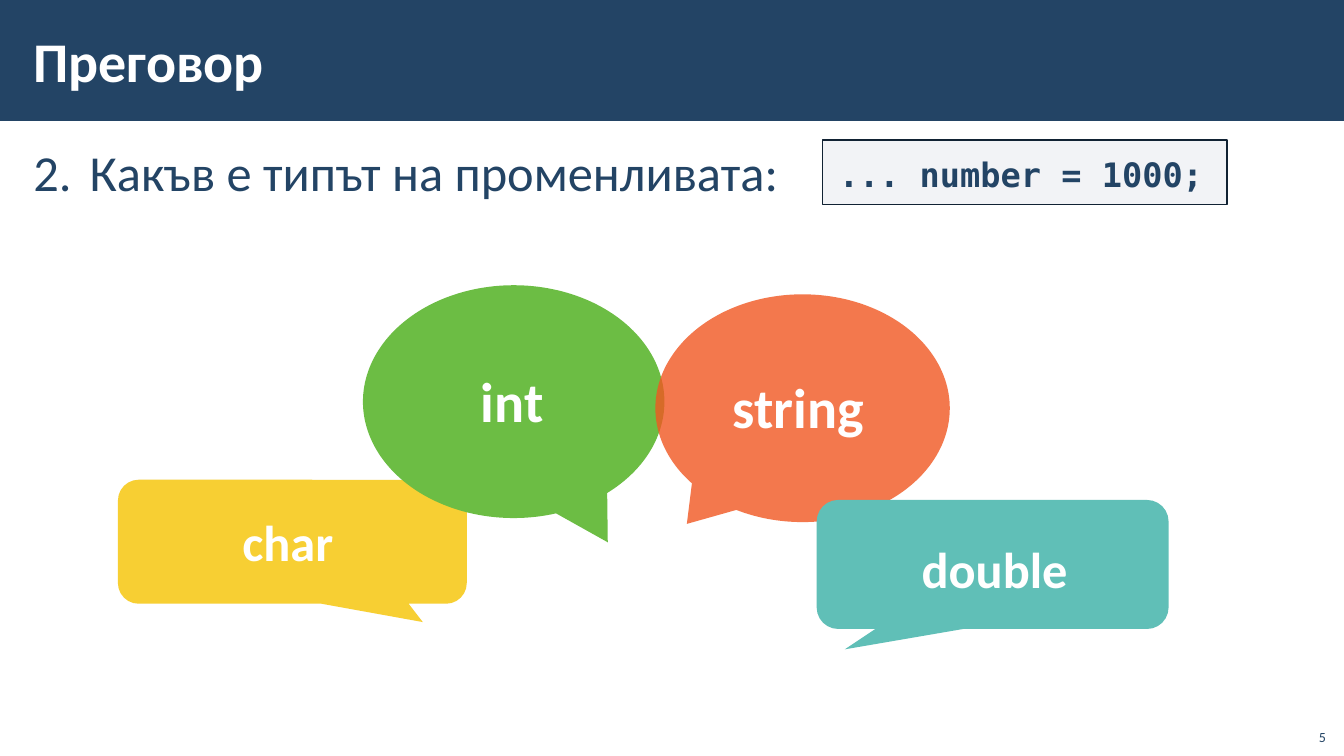
from lxml.etree import SubElement
from pptx import Presentation
from pptx.dml.color import RGBColor
from pptx.enum.shapes import MSO_SHAPE as Shape
from pptx.enum.text import MSO_ANCHOR as Anchor, PP_ALIGN as Align
from pptx.oxml.ns import qn
from pptx.util import Inches, Pt

NAVY = RGBColor(0x23, 0x44, 0x65)
WHITE = RGBColor(0xFF, 0xFF, 0xFF)
CODE_FILL = RGBColor(0xAD, 0xB4, 0xC3)
CODE_LINE = RGBColor(0x11, 0x22, 0x33)
YELLOW = RGBColor(0xF5, 0xC3, 0x00)
GREEN = RGBColor(0x6C, 0xBD, 0x44)
ORANGE = RGBColor(0xF1, 0x57, 0x21)
TEAL = RGBColor(0x60, 0xBF, 0xB7)

ROUNDED = Shape.ROUNDED_RECTANGULAR_CALLOUT
OVAL = Shape.OVAL_CALLOUT

# Insets: left, top, right, bottom
TEXT_INSETS = (0.12, 0.04, 0.12, 0.04)
LABEL_INSETS = (0.16, 0.12, 0.16, 0.12)
NUMBER_INSETS = (0.1, 0.05, 0.1, 0.05)

# Outline, box, pointer and corner, fill, opacity, word, word's box in the
# callout, and the format of the word
ANSWERS = [
    (ROUNDED, (1.17, 4.76, 3.46, 1.23), (0.374, 0.648, 0.167), YELLOW, 80,
     "char", (0.36, 0.13, 2.65, 0.87),
     dict(size=36, align=Align.CENTER, spacing=1.1)),
    (OVAL, (3.6, 2.83, 2.99, 2.31), (0.312, 0.604), GREEN, 100,
     "int", (0.51, 0.69, 1.87, 0.91),
     dict(size=40, insets=(0.66, 0.12, 0.16, 0.12))),
    (OVAL, (6.5, 2.92, 2.92, 2.26), (-0.393, 0.508), ORANGE, 80,
     "string", (0.61, 0.59, 1.7, 0.94), dict(size=40, spacing=1.1)),
    (ROUNDED, (8.1, 4.96, 3.49, 1.28), (-0.42, 0.658, 0.167), TEAL, 100,
     "double", (0.27, 0.2, 2.99, 0.87),
     dict(size=36, align=Align.CENTER, spacing=1.1)),
]


def inches(box):
    return [Inches(length) for length in box]


def write(shape, text, size, color=WHITE, bold=True, font="Calibri",
          align=Align.LEFT, anchor=Anchor.TOP, insets=LABEL_INSETS, spacing=1.0):
    """Fill a shape with one formatted paragraph and return the paragraph."""
    frame = shape.text_frame
    left, top, right, bottom = inches(insets)
    frame_format = dict(word_wrap=True, vertical_anchor=anchor, margin_left=left,
                        margin_top=top, margin_right=right, margin_bottom=bottom)
    paragraph = frame.paragraphs[0]
    run = paragraph.add_run()
    run.text = text
    run.font.color.rgb = color
    formats = [
        (frame, frame_format),
        (paragraph, dict(alignment=align, line_spacing=spacing)),
        (run.font, dict(name=font, size=Pt(size), bold=bold)),
    ]
    for target, values in formats:
        for name, value in values.items():
            setattr(target, name, value)
    return paragraph


def add_filled(shapes, outline, box, fill, opacity=100):
    """Add a preset shape with a plain fill and neither line nor shadow."""
    shape = shapes.add_shape(outline, *inches(box))
    shape.shadow.inherit = False
    shape.line.fill.background()
    shape.fill.solid()
    shape.fill.fore_color.rgb = fill
    if opacity < 100:
        color = shape.element.spPr.find(qn("a:solidFill"))[0]
        SubElement(color, qn("a:alpha"), val=str(opacity * 1000))
    return shape


def add_header(slide, box):
    left, top, width, height = box
    bar = add_filled(slide.shapes, Shape.RECTANGLE, box, NAVY)
    title = slide.shapes.title
    # The bar lies behind the title
    title.element.addprevious(bar.element)
    title.left, title.top, title.width, title.height = inches(
        (left + 0.21, top + 0.11, width - 2.71, height - 0.23))
    write(title, "Преговор", 40, anchor=Anchor.MIDDLE, insets=TEXT_INSETS)


def add_question(slide, box):
    left, top, width, height = box
    # Numbered question
    question = write(slide.shapes.add_textbox(*inches(box)),
                     "Какъв е типът на променливата:", 36, NAVY, False,
                     insets=TEXT_INSETS, spacing=1.05)
    question.space_before = question.space_after = Pt(6)
    properties = question._p.get_or_add_pPr()
    properties.set("marL", str(Inches(0.56)))
    properties.set("indent", str(-Inches(0.56)))
    SubElement(properties, qn("a:buFont"), typeface="+mj-lt")
    SubElement(properties, qn("a:buAutoNum"), type="arabicPeriod", startAt="2")

    # Line of code
    code = add_filled(slide.shapes, Shape.RECTANGLE,
                      (left + 7.95, top + 0.06, 4.01, 0.64), CODE_FILL, 15)
    code.line.color.rgb = CODE_LINE
    code.line.width = Pt(1)
    write(code, "... number = 1000;", 24, NAVY, font="DejaVu Sans Mono",
          spacing=1.05)


def add_answer(slide, outline, box, pointer, fill, opacity, word, word_box,
               word_format):
    left, top, width, height = box
    answer = slide.shapes.add_group_shape().shapes
    callout = add_filled(answer, outline, box, fill, opacity)
    for index, value in enumerate(pointer):
        callout.adjustments[index] = value
    dx, dy, word_width, word_height = word_box
    label = answer.add_textbox(
        *inches((left + dx, top + dy, word_width, word_height)))
    write(label, word, **word_format)


def add_slide_number(slide, box):
    number = slide.shapes.add_textbox(*inches(box))
    write(number, "5", 10, NAVY, False, align=Align.RIGHT,
          anchor=Anchor.BOTTOM, insets=NUMBER_INSETS)


def main():
    deck = Presentation()
    deck.slide_width, deck.slide_height = inches((13.33, 7.5))
    slide = deck.slides.add_slide(deck.slide_layouts.get_by_name("Title Only"))
    add_header(slide, (0, 0, 13.34, 1.2))
    add_question(slide, (0.21, 1.33, 12.91, 5.67))
    for answer in ANSWERS:
        add_answer(slide, *answer)
    add_slide_number(slide, (12.85, 7.12, 0.4, 0.32))
    deck.save("out.pptx")


if __name__ == "__main__":
    main()
